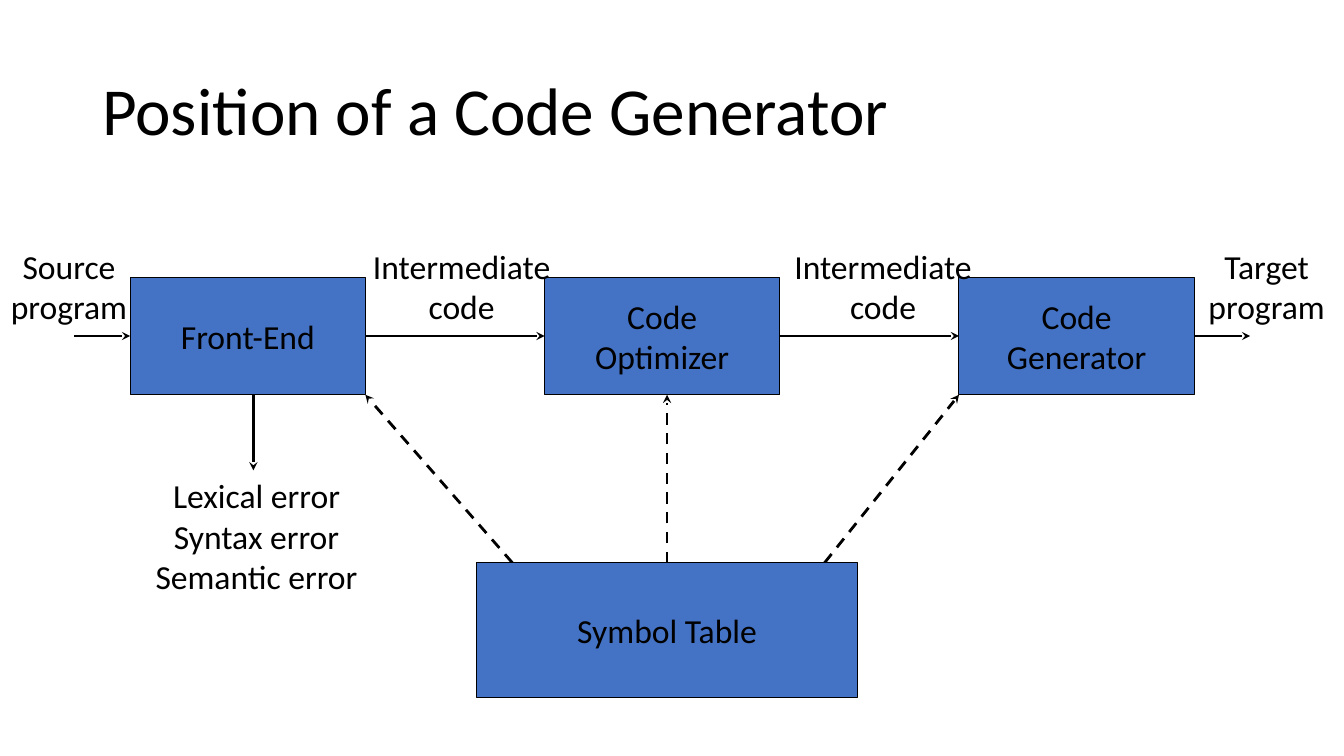
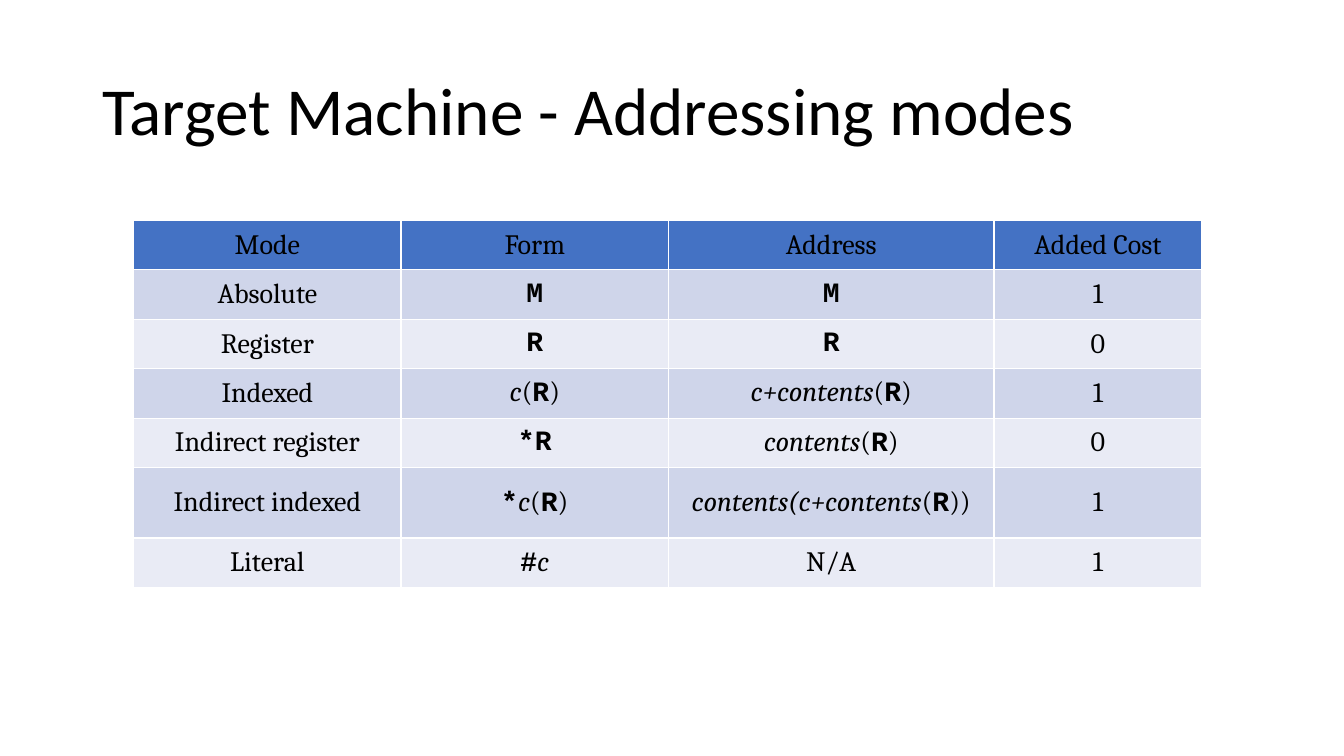
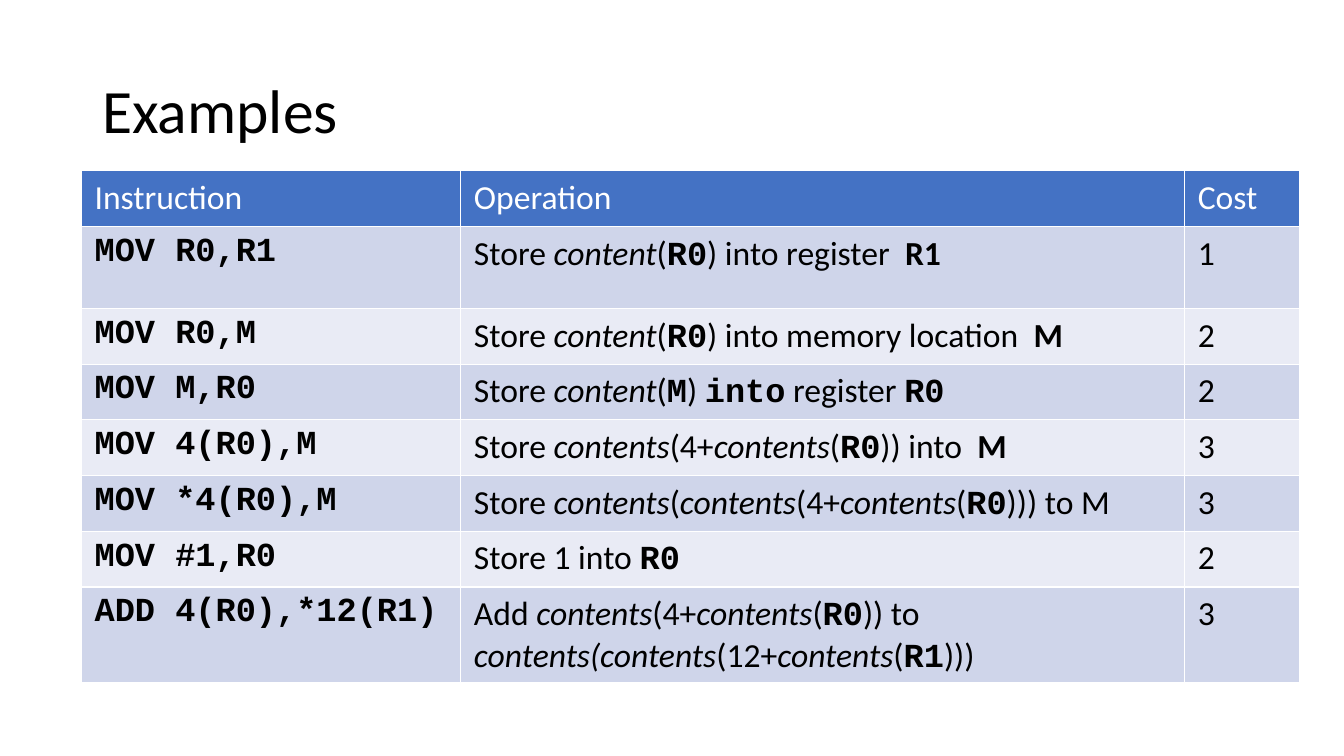
from pptx import Presentation
from pptx.dml.color import RGBColor as RGB
from pptx.enum.dml import MSO_LINE
from pptx.enum.shapes import MSO_CONNECTOR, MSO_SHAPE
from pptx.enum.text import MSO_ANCHOR as ANCHOR, MSO_AUTO_SIZE, PP_ALIGN as ALIGN
from pptx.oxml.ns import qn
from pptx.util import Pt
from lxml.etree import SubElement


class Theme:
    black = RGB(0x00, 0x00, 0x00)
    white = RGB(0xFF, 0xFF, 0xFF)
    blue = RGB(0x44, 0x72, 0xC4)
    bands = (RGB(0xCF, 0xD5, 0xEA), RGB(0xE9, 0xEB, 0xF5))
    sans, serif, mono = "Calibri", "Cambria", "Courier New"
    label = 24


def style_run(r, size, font=Theme.sans, color=Theme.black, bold=False, italic=False):
    r.font.size = Pt(size)
    r.font.name = font
    r.font.color.rgb = color
    r.font.bold = bold
    r.font.italic = italic


def write_marked(p, text, size, font, color):
    """Split text at | into runs; a leading ` is code, _ is italic, ! is bold."""
    for part in text.split("|"):
        mark = part[0] if part[0] in "`_!" else ""
        r = p.add_run()
        r.text = part[len(mark):]
        style_run(r, size, Theme.mono if mark == "`" else font, color,
                  bold=mark in ("`", "!"), italic=mark == "_")


prs = Presentation()
prs.slide_width, prs.slide_height = Pt(960), Pt(540)

# Slides and titles
titles = [
    ("Position of a Code Generator", 48),
    ("Target Machine - Addressing modes", 48),
    ("Examples", 44),
]
slides = []
for title, size in titles:
    s = prs.slides.add_slide(prs.slide_layouts[6])
    slides.append(s)
    tf = s.shapes.add_textbox(Pt(66), Pt(29), Pt(828), Pt(104)).text_frame
    tf.word_wrap = True
    tf.vertical_anchor = ANCHOR.MIDDLE
    tf.text = title
    p = tf.paragraphs[0]
    p.line_spacing = 0.9
    style_run(p.runs[0], size)

# Slide 1: compiler phases
diagram, modes_slide, examples_slide = slides
phase_w, phase_h, phase_top, pitch = 168, 84, 198, 296
front, optimizer, generator = [93 + i * pitch for i in range(3)]
mid, bottom = phase_top + phase_h / 2, phase_top + phase_h
symbol_top, stub = 402, 40
center = optimizer + phase_w / 2 + 3.5

boxes = [
    ("Front-End", front, phase_top, phase_w, phase_h),
    ("Code\nOptimizer", optimizer, phase_top, phase_w, phase_h),
    ("Code\nGenerator", generator, phase_top, phase_w, phase_h),
    ("Symbol Table", 340.5, symbol_top, 272, 96),
]
labels = [
    ("Source\nprogram", 0, 172, 98.5, 65.5),
    ("Intermediate\ncode", 258.5, 172, 142.5, 65.5),
    ("Intermediate\ncode", 559.5, 172, 142.5, 65.5),
    ("Target\nprogram", 855.5, 172, 98.5, 65.5),
    ("Lexical error\nSyntax error\nSemantic error", 103, 336, 160.5, 94.5),
]
arrows = [
    (front - stub, mid, front, mid, False),
    (front + phase_w, mid, optimizer, mid, False),
    (optimizer + phase_w, mid, generator, mid, False),
    (generator + phase_w, mid, generator + phase_w + stub, mid, False),
    (181, bottom, 181, 336, False),
    (366, symbol_top, front + phase_w, bottom, True),
    (center, symbol_top, center, bottom, True),
    (589, symbol_top, generator, bottom, True),
]

for x1, y1, x2, y2, dashed in arrows:
    c = diagram.shapes.add_connector(MSO_CONNECTOR.STRAIGHT, Pt(x1), Pt(y1), Pt(x2), Pt(y2))
    c.line.color.rgb = Theme.black
    c.line.width = Pt(2)
    if dashed:
        c.line.dash_style = MSO_LINE.DASH
    sp_pr = c._element.spPr
    SubElement(sp_pr.find(qn("a:ln")), qn("a:tailEnd"), type="stealth")
    SubElement(sp_pr, qn("a:effectLst"))

for text, *at in boxes + labels:
    at = [Pt(v) for v in at]
    if (text, *at) in [(t, *map(Pt, a)) for t, *a in boxes]:
        sp = diagram.shapes.add_shape(MSO_SHAPE.RECTANGLE, *at)
        sp.shadow.inherit = False
        sp.fill.solid()
        sp.fill.fore_color.rgb = Theme.blue
        sp.line.color.rgb = Theme.black
        sp.line.width = Pt(0.75)
        sp.text_frame.vertical_anchor = ANCHOR.MIDDLE
    else:
        sp = diagram.shapes.add_textbox(*at)
        sp.text_frame.auto_size = MSO_AUTO_SIZE.SHAPE_TO_FIT_TEXT
    sp.text_frame.word_wrap = False
    p = sp.text_frame.paragraphs[0]
    p.text = text
    p.alignment = ALIGN.CENTER
    for r in p.runs:
        style_run(r, Theme.label)

# Slides 2 and 3: tables
modes = [
    ("Mode", "Form", "Address", "Added Cost"),
    ("Absolute", "`M", "`M", "1"),
    ("Register", "`R", "`R", "0"),
    ("Indexed", "_c|(|`R|)", "_c+contents|(|`R|)", "1"),
    ("Indirect register", "`*R", "_contents|(|`R|)", "0"),
    ("Indirect indexed", "`*|_c|(|`R|)", "_contents(c+contents|(|`R|))", "1"),
    ("Literal", "`#|_c", "N/A", "1"),
]
examples = [
    ("Instruction", "Operation", "Cost"),
    ("`MOV R0,R1", "Store |_content|(|`R0|) into register  |!R1", "1"),
    ("`MOV R0,M", "Store |_content|(|`R0|) into memory location  |!M", "2"),
    ("`MOV M,R0", "Store |_content|(|`M|) |`into| register |`R0", "2"),
    ("`MOV 4(R0),M", "Store |_contents|(4+|_contents|(|`R0|)) into  |!M", "3"),
    ("`MOV *4(R0),M",
     "Store |_contents|(|_contents|(4+|_contents|(|`R0|))) to M", "3"),
    ("`MOV #1,R0", "Store 1 into |`R0", "2"),
    ("`ADD 4(R0),*12(R1)",
     "Add |_contents|(4+|_contents|(|`R0|)) to |_contents(contents|(12+|_contents|(|`R1|)))",
     "3"),
]
tables = [
    dict(slide=modes_slide, rows=modes, left=95.5, top=157.5,
         widths=[191, 191, 232.5, 148.5], heights=[35.3] * 5 + [50.4, 35.3],
         size=20, font=Theme.serif, head=Theme.black, pad=3.6,
         align=ALIGN.CENTER, anchor=ANCHOR.MIDDLE),
    dict(slide=examples_slide, rows=examples, left=58, top=122,
         widths=[271, 517, 82], heights=[39.8, 58.5] + [39.8] * 5 + [68.5],
         size=24, font=Theme.sans, head=Theme.white, pad=4.8,
         align=ALIGN.LEFT, anchor=ANCHOR.TOP),
]

for t in tables:
    widths, heights = t["widths"], t["heights"]
    table = t["slide"].shapes.add_table(
        len(heights), len(widths), Pt(t["left"]), Pt(t["top"]),
        Pt(sum(widths)), Pt(sum(heights))).table
    for col, width in zip(table.columns, widths):
        col.width = Pt(width)
    for i, (row, height) in enumerate(zip(t["rows"], heights)):
        table.rows[i].height = Pt(height)
        for j, text in enumerate(row):
            cell = table.cell(i, j)
            cell.fill.solid()
            cell.fill.fore_color.rgb = Theme.bands[(i - 1) % 2] if i else Theme.blue
            cell.margin_left = cell.margin_right = Pt(9.6)
            cell.margin_top = cell.margin_bottom = Pt(t["pad"])
            cell.vertical_anchor = t["anchor"]
            p = cell.text_frame.paragraphs[0]
            p.alignment = t["align"]
            write_marked(p, text, t["size"], t["font"], Theme.black if i else t["head"])

prs.save("out.pptx")
